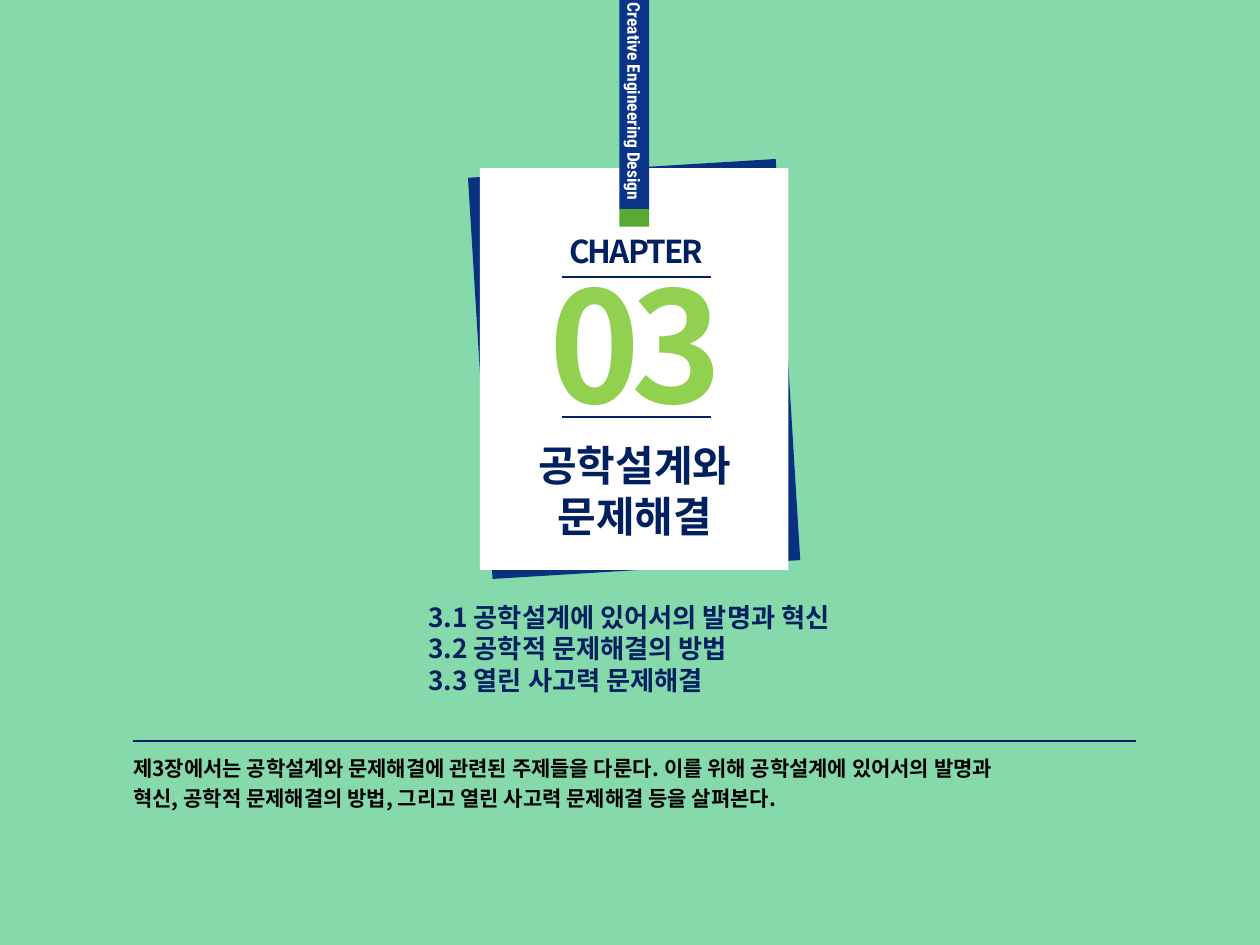
from lxml.etree import SubElement
from pptx import Presentation
from pptx.dml.color import RGBColor
from pptx.enum.shapes import MSO_CONNECTOR as Connector, MSO_SHAPE as Shape
from pptx.enum.text import MSO_ANCHOR as Anchor, MSO_AUTO_SIZE as AutoSize, PP_ALIGN as Align
from pptx.oxml.ns import qn
from pptx.util import Pt

NAVY = "002060"
KOREAN = "Noto Sans CJK KR"


def color(value):
    return RGBColor.from_string(value)


class SlideBuilder:
    frame_format = {
        "word_wrap": True,
        "auto_size": AutoSize.NONE,
        "vertical_anchor": Anchor.TOP,
        "margin_left": Pt(7.2),
        "margin_right": Pt(7.2),
        "margin_top": Pt(3.6),
        "margin_bottom": Pt(3.6),
    }

    def __init__(self, slide, background):
        self.slide = slide
        fill = slide.background.fill
        fill.solid()
        fill.fore_color.rgb = color(background)

    def apply(self, target, values):
        for name, value in values.items():
            setattr(target, name, value)

    def place(self, shape, left, top, width, height):
        box = dict(left=left, top=top, width=width, height=height)
        self.apply(shape, {name: Pt(value) for name, value in box.items()})

    def rectangle(self, left, top, width, height, fill, rotation=0):
        shape = self.slide.shapes.add_shape(
            Shape.RECTANGLE, Pt(left), Pt(top), Pt(width), Pt(height))
        shape.shadow.inherit = False
        shape.fill.solid()
        shape.fill.fore_color.rgb = color(fill)
        shape.line.fill.background()
        shape.rotation = rotation
        return shape

    def rule(self, left, right, y, weight):
        line = self.slide.shapes.add_connector(
            Connector.STRAIGHT, Pt(left), Pt(y), Pt(right), Pt(y))
        line.line.color.rgb = color(NAVY)
        line.line.width = Pt(weight)
        SubElement(line._element.spPr, qn("a:effectLst"))

    def set_text(self, shape, lines, size, fill=NAVY, font=KOREAN, align=Align.LEFT,
                 gap=0, tracking=0, **frame_values):
        frame = shape.text_frame
        self.apply(frame, {**self.frame_format, **frame_values})
        for index, text in enumerate(lines):
            paragraph = frame.add_paragraph() if index else frame.paragraphs[0]
            properties = paragraph._p.get_or_add_pPr()
            properties.set("marL", "0")
            properties.set("indent", "0")
            SubElement(properties, qn("a:buNone"))
            self.apply(paragraph, {
                "alignment": align,
                "line_spacing": 1.0,
                "space_before": Pt(gap if index else 0),
                "space_after": Pt(0),
            })
            run = paragraph.add_run()
            run.text = text
            self.apply(run.font, {"name": font, "size": Pt(size), "bold": True})
            run.font.color.rgb = color(fill)
            run_properties = run._r.get_or_add_rPr()
            run_properties.set("spc", str(round(tracking * 100)))
            SubElement(run_properties, qn("a:ea")).set("typeface", font)

    def text(self, left, top, width, height, lines, size, **values):
        box = self.slide.shapes.add_textbox(Pt(left), Pt(top), Pt(width), Pt(height))
        self.set_text(box, lines, size, **values)

    def placeholder(self, index, left, top, width, height, lines, size, **values):
        shape = self.slide.placeholders[index]
        self.place(shape, left, top, width, height)
        tree = self.slide.shapes._spTree
        tree.remove(shape._element)
        tree.append(shape._element)
        self.set_text(shape, lines, size, **values)

    def ribbon(self, left, width, length, label):
        strip = self.rectangle(left, 0, width, length, "0A3488")
        self.set_text(strip, [label], 10, fill="FFFFFF", font="Roboto Condensed",
                      align=Align.RIGHT, vertical_anchor=Anchor.MIDDLE,
                      margin_left=0, margin_right=0, margin_top=0, margin_bottom=Pt(5.76))
        strip.text_frame._txBody.bodyPr.set("vert", "vert")
        self.rectangle(left, length - 0.5, width, 10, "59AA30")


def main():
    presentation = Presentation()
    presentation.slide_width, presentation.slide_height = Pt(720), Pt(540)
    slide = presentation.slides.add_slide(presentation.slide_layouts[1])
    builder = SlideBuilder(slide, "85D9AB")

    for fill, rotation in (("093182", 356.5), ("FFFFFF", 0)):
        builder.rectangle(274.3, 96, 176.2, 229.7, fill, rotation)
    builder.ribbon(354, 17, 120, "Creative Engineering Design")

    builder.text(293.8, 139, 139.7, 113.8, ["03"], 88, fill="92D050",
                 align=Align.CENTER, tracking=-5)
    builder.text(309.6, 128.9, 108, 28.8, ["CHAPTER"], 18,
                 align=Align.CENTER, tracking=-1.1)
    for y in (158.4, 238.3):
        builder.rule(321.1, 406.1, y, 1)

    builder.text(69.1, 428.4, 648, 85, [
        "제3장에서는 공학설계와 문제해결에 관련된 주제들을 다룬다. 이를 위해 공학설계에 있어서의 발명과",
        "혁신, 공학적 문제해결의 방법, 그리고 열린 사고력 문제해결 등을 살펴본다.",
    ], 12, fill="000000", gap=2.4)
    builder.placeholder(1, 237.6, 339.8, 360, 61.9, [
        "3.1 공학설계에 있어서의 발명과 혁신",
        "3.2 공학적 문제해결의 방법",
        "3.3 열린 사고력 문제해결",
    ], 15)
    builder.placeholder(0, 275, 247.7, 175.7, 65.5, ["공학설계와", "문제해결"], 24,
                        align=Align.CENTER)
    builder.rule(76.3, 649.4, 423.4, 0.75)

    presentation.save("out.pptx")


if __name__ == "__main__":
    main()
